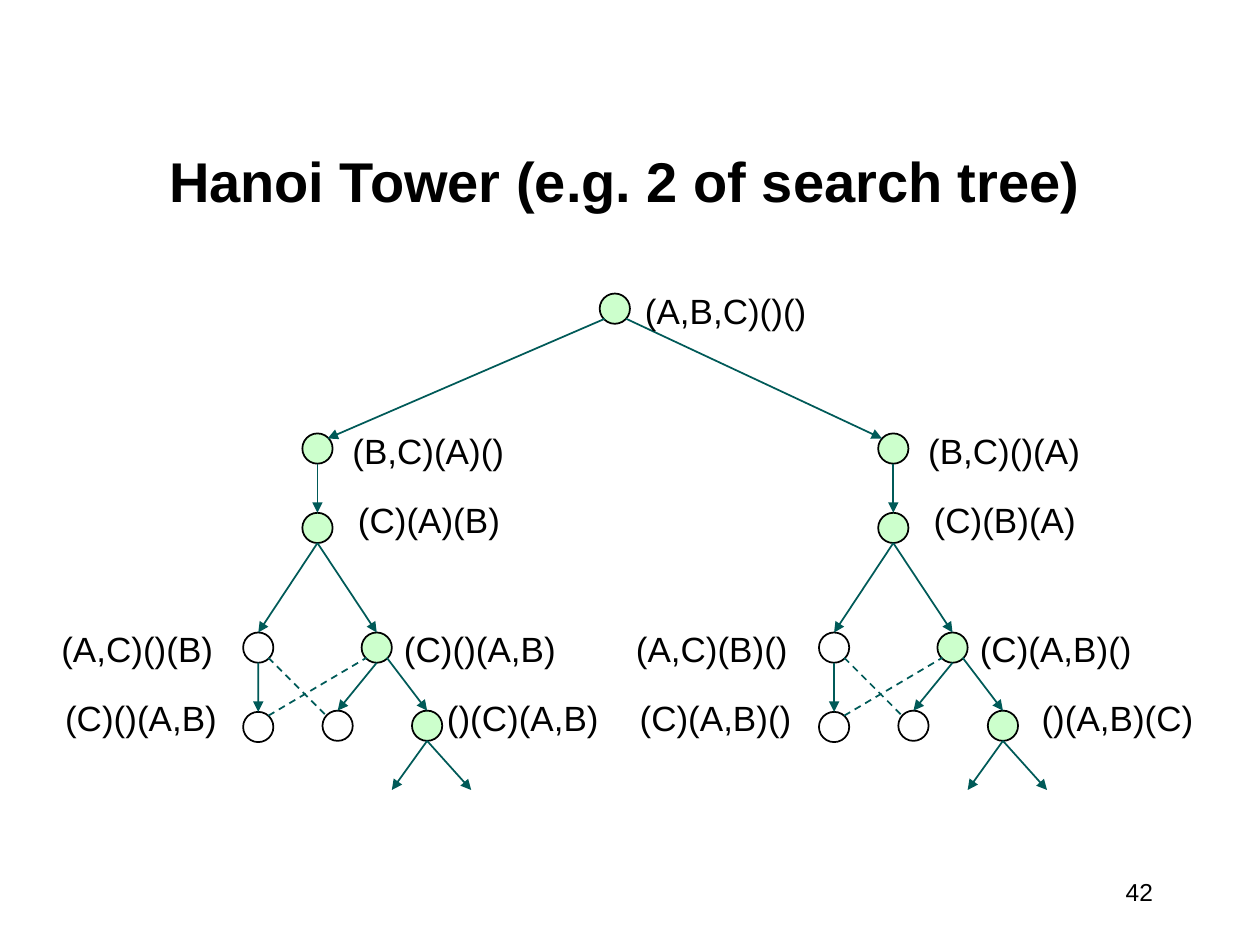
import pptx
import pptx.dml.color
import pptx.enum.dml
import pptx.enum.shapes
import pptx.enum.text
import pptx.oxml
import pptx.oxml.ns
import pptx.util
from pptx.util import Inches

BLACK = pptx.dml.color.RGBColor(0x00, 0x00, 0x00)
WHITE = pptx.dml.color.RGBColor(0xFF, 0xFF, 0xFF)
GREEN = pptx.dml.color.RGBColor(0xCC, 0xFF, 0xCC)
TEAL = pptx.dml.color.RGBColor(0x00, 0x5A, 0x58)
ALIGN = pptx.enum.text.PP_ALIGN
ANCHOR = pptx.enum.text.MSO_ANCHOR
NODE_SIZE = 0.24
LABEL_HEIGHT = 0.44
SUBTREE_SHIFT = 4.57

presentation = pptx.Presentation()
presentation.slide_width = Inches(10)
presentation.slide_height = Inches(7.5)
slide = presentation.slides.add_slide(presentation.slide_layouts[5])


def write_text(shape, text, size, align, anchor, wrap=False, bold=False):
    frame = shape.text_frame
    frame.word_wrap = wrap
    frame.auto_size = pptx.enum.text.MSO_AUTO_SIZE.NONE
    frame.vertical_anchor = anchor
    paragraph = frame.paragraphs[0]
    paragraph.alignment = align
    run = paragraph.add_run()
    run.text = text
    run.font.name = "Arial"
    run.font.size = pptx.util.Pt(size)
    run.font.bold = bold
    run.font.color.rgb = BLACK


def add_edge(start, end, dashed=False):
    connector = slide.shapes.add_connector(
        pptx.enum.shapes.MSO_CONNECTOR.STRAIGHT,
        *[Inches(value) for value in (*start, *end)])
    connector.line.color.rgb = TEAL
    connector.line.width = pptx.util.Pt(1)
    if dashed:
        connector.line.dash_style = pptx.enum.dml.MSO_LINE.DASH
    else:
        arrowhead = pptx.oxml.parse_xml(
            f'<a:tailEnd {pptx.oxml.ns.nsdecls("a")} type="triangle"/>')
        connector.line._get_or_add_ln().append(arrowhead)
    properties = connector._element.spPr
    properties.append(pptx.oxml.parse_xml(
        f'<a:effectLst {pptx.oxml.ns.nsdecls("a")}/>'))
    return connector


# Title and page number
title = slide.shapes.title
title.left, title.top = Inches(0.67), Inches(1)
title.width, title.height = Inches(8.58), Inches(0.75)
write_text(title, "Hanoi Tower (e.g. 2 of search tree)", 32,
           ALIGN.CENTER, ANCHOR.BOTTOM, wrap=True, bold=True)
page_number = slide.shapes.add_textbox(
    Inches(8.58), Inches(6.83), Inches(0.67), Inches(0.5))
write_text(page_number, "42", 14, ALIGN.RIGHT, ANCHOR.MIDDLE)

# Nodes of one subtree: left, top, fill
subtree_nodes = {
    "first": (2.4, 3.44, GREEN),
    "second": (2.4, 4.07, GREEN),
    "third left": (1.93, 5.02, WHITE),
    "third right": (2.87, 5.02, GREEN),
    "fourth left": (1.93, 5.65, WHITE),
    "fourth middle": (2.56, 5.64, WHITE),
    "fourth right": (3.27, 5.64, GREEN),
}
nodes = [("root", 4.76, 2.33, GREEN)]
for side in range(2):
    for name, (left, top, fill) in subtree_nodes.items():
        nodes.append(((side, name), left + side * SUBTREE_SHIFT, top, fill))

node_shapes = {}
for key, left, top, fill in nodes:
    node = slide.shapes.add_shape(
        pptx.enum.shapes.MSO_SHAPE.OVAL, Inches(left), Inches(top),
        Inches(NODE_SIZE), Inches(NODE_SIZE))
    node.shadow.inherit = False
    node.fill.solid()
    node.fill.fore_color.rgb = fill
    node.line.color.rgb = BLACK
    node.line.width = pptx.util.Pt(1)
    node_shapes[key] = node

# Edges from the root
add_edge((4.8, 2.53), (2.6, 3.48))
add_edge((4.97, 2.53), (7, 3.48))

# Edges of both subtrees
moves = [  # start point, node reached at its top
    ((2.52, 3.68), "second"),
    ((2.52, 4.31), "third left"),
    ((2.52, 4.31), "third right"),
    ((2.05, 5.26), "fourth left"),
    ((2.99, 5.26), "fourth middle"),
    ((3.07, 5.22), "fourth right"),
]
open_moves = [((3.39, 5.88), (3.11, 6.27)), ((3.39, 5.88), (3.74, 6.27))]
repeated_moves = [((2.13, 5.68), (2.91, 5.22)), ((2.13, 5.22), (2.59, 5.68))]
for side in range(2):
    shift = side * SUBTREE_SHIFT
    for (x, y), target in moves:
        edge = add_edge((x + shift, y), (x + shift, y))
        edge.end_connect(node_shapes[side, target], 0)
    for edges, dashed in ((open_moves, False), (repeated_moves, True)):
        for (x1, y1), (x2, y2) in edges:
            add_edge((x1 + shift, y1), (x2 + shift, y2), dashed)

# State labels: left, top, width, text
labels = [
    (5.02, 2.25, 1.48, "(A,B,C)()()"),
    (2.7, 3.36, 1.4, "(B,C)(A)()"),
    (2.74, 3.91, 1.33, "(C)(A)(B)"),
    (0.39, 4.93, 1.4, "(A,C)()(B)"),
    (3.11, 4.93, 1.4, "(C)()(A,B)"),
    (0.42, 5.48, 1.4, "(C)()(A,B)"),
    (3.45, 5.48, 1.4, "()(C)(A,B)"),
    (7.27, 3.36, 1.4, "(B,C)()(A)"),
    (7.31, 3.91, 1.33, "(C)(B)(A)"),
    (4.95, 4.93, 1.4, "(A,C)(B)()"),
    (7.68, 4.93, 1.4, "(C)(A,B)()"),
    (4.98, 5.48, 1.4, "(C)(A,B)()"),
    (8.17, 5.48, 1.4, "()(A,B)(C)"),
]
for left, top, width, text in labels:
    label = slide.shapes.add_textbox(
        Inches(left), Inches(top), Inches(width), Inches(LABEL_HEIGHT))
    write_text(label, text, 20, ALIGN.CENTER, ANCHOR.TOP)

presentation.save("out.pptx")
